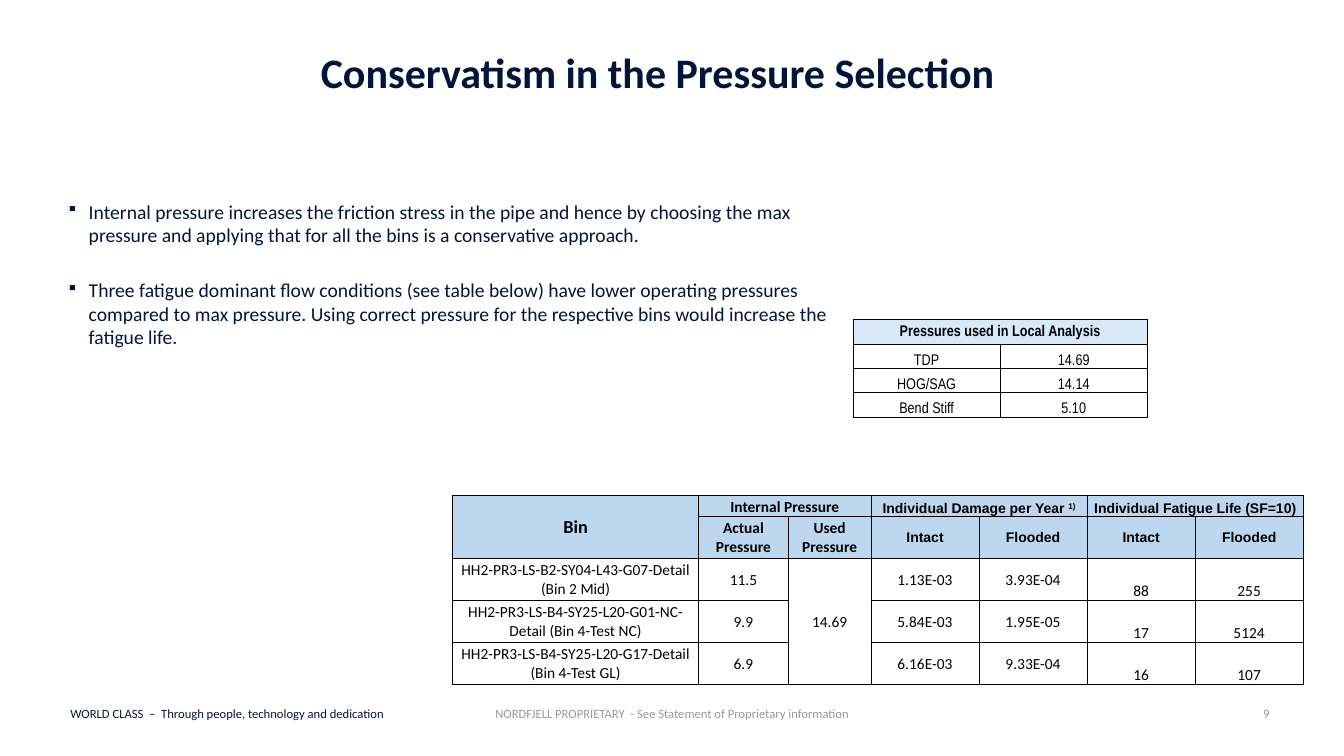
"""Build the slide on conservatism in the pressure selection."""
from lxml import etree
from pptx import Presentation
from pptx import util as u
from pptx.dml.color import RGBColor
from pptx.enum import text
from pptx.oxml.ns import qn

WIDTH, HEIGHT = 13.33, 7.5
NAVY, SLATE, GREY, BLACK = "001639", "081839", "999999", "000000"
LEFT, CENTER, RIGHT = text.PP_ALIGN.LEFT, text.PP_ALIGN.CENTER, text.PP_ALIGN.RIGHT
TOP, MIDDLE, BOTTOM = (text.MSO_ANCHOR.TOP, text.MSO_ANCHOR.MIDDLE,
                       text.MSO_ANCHOR.BOTTOM)

TITLE = [[("Conservatism in the Pressure Selection", NAVY)]]
BULLETS = [
    [("Internal pressure increases the friction stress in the pipe and hence by "
      "choosing the max pressure and applying that for all the bins is a "
      "conservative approach.", NAVY)],
    [("Three fatigue dominant flow conditions (see table below) have lower operating "
      "pressures compared to max pressure. Using correct pressure for the respective "
      "bins would increase the fatigue life.", NAVY)],
]
MOTTO = [[("WORLD CLASS  –  Through ", SLATE), ("people", NAVY),
          (", technology and dedication", SLATE)]]
NOTICE = [[("NORDFJELL PROPRIETARY  - See Statement of Proprietary information", GREY)]]
NUMBER = [[("9", GREY)]]

STYLES = {
    "caption": ("Arial Narrow", 11, True, MIDDLE, "DAE9F8"),
    "pressure": ("Arial Narrow", 11, False, BOTTOM, None),
    "bin": ("Calibri", 13, True, MIDDLE, "BDD7EE"),
    "group": ("Calibri", 11, True, BOTTOM, "BDD7EE"),
    "result": ("Arial", 10, True, BOTTOM, "BDD7EE"),
    "column": ("Calibri", 11, True, MIDDLE, "BDD7EE"),
    "state": ("Arial", 10, True, MIDDLE, "BDD7EE"),
    "value": ("Calibri", 11, False, MIDDLE, None),
    "life": ("Calibri", 11, False, BOTTOM, None),
}
PRESSURE_STYLES = [["caption"] * 2] + [["pressure"] * 2] * 3
PRESSURES = [
    ["Pressures used in Local Analysis", None],
    ["TDP", "14.69"],
    ["HOG/SAG", "14.14"],
    ["Bend Stiff", "5.10"],
]
FATIGUE_STYLES = [
    ["bin"] + ["group"] * 2 + ["result"] * 4,
    ["bin"] + ["column"] * 2 + ["state"] * 4,
] + [["value"] * 5 + ["life"] * 2] * 3
FATIGUE = [
    ["Bin", "Internal Pressure", None, "Individual Damage per Year ^1)", None,
     "Individual Fatigue Life (SF=10)", None],
    [None, "Actual Pressure", "Used Pressure", "Intact", "Flooded", "Intact", "Flooded"],
    ["HH2-PR3-LS-B2-SY04-L43-G07-Detail (Bin 2 Mid)", "11.5", "14.69",
     "1.13E-03", "3.93E-04", "88", "255"],
    ["HH2-PR3-LS-B4-SY25-L20-G01-NC-Detail (Bin 4-Test NC)", "9.9", None,
     "5.84E-03", "1.95E-05", "17", "5124"],
    ["HH2-PR3-LS-B4-SY25-L20-G17-Detail (Bin 4-Test GL)", "6.9", None,
     "6.16E-03", "9.33E-04", "16", "107"],
]
FATIGUE_MERGES = [((0, 0), (1, 0)), ((0, 1), (0, 2)), ((0, 3), (0, 4)),
                  ((0, 5), (0, 6)), ((2, 2), (4, 2))]


def color(value):
    return RGBColor.from_string(value)


def across(percent):
    return u.Inches(WIDTH * percent / 100)


def down(percent):
    return u.Inches(HEIGHT * percent / 100)


def set_margins(target, left, top, right, bottom):
    target.margin_left, target.margin_right = u.Inches(left), u.Inches(right)
    target.margin_top, target.margin_bottom = u.Inches(top), u.Inches(bottom)


def add_run(paragraph, words, face, size, bold, ink):
    run = paragraph.add_run()
    run.text = words
    run.font.name, run.font.size, run.font.bold = face, u.Pt(size), bold
    run.font.color.rgb = color(ink)
    return run


def add_text(slide, box, paragraphs, size, align=LEFT, anchor=TOP, bold=False,
             margins=(0.1, 0.05, 0.1, 0.05), spacing=None, bullet=None):
    left, top, width, height = box
    shape = slide.shapes.add_textbox(across(left), down(top), across(width), down(height))
    frame = shape.text_frame
    frame.word_wrap, frame.vertical_anchor = True, anchor
    set_margins(frame, *margins)
    for index, runs in enumerate(paragraphs):
        paragraph = frame.add_paragraph() if index else frame.paragraphs[0]
        paragraph.alignment = align
        if spacing:
            paragraph.line_spacing = spacing
        if index:
            paragraph.space_before = u.Pt(22.5)
        if bullet:
            properties = paragraph._p.get_or_add_pPr()
            indent = u.Inches(0.22)
            properties.set("marL", str(indent))
            properties.set("indent", str(-indent))
            etree.SubElement(properties, qn("a:buSzPct"), val="80000")
            etree.SubElement(properties, qn("a:buChar"), char=bullet)
        for words, ink in runs:
            add_run(paragraph, words, "Calibri", size, bold, ink)


def add_borders(cell):
    properties = cell._tc.get_or_add_tcPr()
    for side in ("a:lnL", "a:lnR", "a:lnT", "a:lnB"):
        line = etree.SubElement(properties, qn(side), w=str(u.Pt(0.5)))
        fill = etree.SubElement(line, qn("a:solidFill"))
        etree.SubElement(fill, qn("a:srgbClr"), val=BLACK)


def fill_cell(cell, words, style):
    face, size, bold, anchor, fill = STYLES[style]
    set_margins(cell, 0.01, 0.01, 0.01, 0)
    cell.vertical_anchor = anchor
    add_borders(cell)
    if fill:
        cell.fill.solid()
        cell.fill.fore_color.rgb = color(fill)
    else:
        cell.fill.background()
    paragraph = cell.text_frame.paragraphs[0]
    paragraph.alignment = CENTER
    if words is None:
        etree.SubElement(paragraph._p, qn("a:endParaRPr"), sz="800")
        return
    base, *raised = words.split("^")
    add_run(paragraph, base, face, size, bold, BLACK)
    for mark in raised:
        run = add_run(paragraph, mark, face, size, bold, BLACK)
        run._r.get_or_add_rPr().set("baseline", "30000")


def add_grid(slide, left, top, widths, heights, rows, styles, merges):
    frame = slide.shapes.add_table(len(heights), len(widths), across(left), down(top),
                                   across(sum(widths)), down(sum(heights)))
    table = frame.table
    table.first_row = table.horz_banding = False
    for column, width in zip(table.columns, widths):
        column.width = across(width)
    for row, height in zip(table.rows, heights):
        row.height = down(height)
    for row, (values, names) in enumerate(zip(rows, styles)):
        for column, (words, name) in enumerate(zip(values, names)):
            fill_cell(table.cell(row, column), words, name)
    for first, last in merges:
        table.cell(*first).merge(table.cell(*last))


def main():
    presentation = Presentation()
    presentation.slide_width, presentation.slide_height = across(100), down(100)
    slide = presentation.slides.add_slide(presentation.slide_layouts[6])
    add_text(slide, (31.88, 92.67, 36.23, 3.33), NOTICE, 9, CENTER)
    add_text(slide, (4.5, 92.67, 25.43, 3.33), MOTTO, 9)
    add_text(slide, (15.68, 6.27, 66.54, 7.47), TITLE, 30, CENTER, bold=True,
             margins=(0, 0.05, 0, 0.05), spacing=0.9)
    add_text(slide, (88.97, 91.73, 6.23, 5.33), NUMBER, 9, RIGHT, MIDDLE)
    add_text(slide, (4.95, 26.4, 57.69, 62), BULLETS, 14, margins=(0, 0, 0, 0), bullet="▪")
    add_grid(slide, 63.47, 42.27, [10.95] * 2, [3.23] * 4, PRESSURES, PRESSURE_STYLES,
             [((0, 0), (0, 1))])
    add_grid(slide, 33.68, 65.55, [18.3, 6.68, 6.15] + [8.04] * 4, [2.78] + [5.56] * 4,
             FATIGUE, FATIGUE_STYLES, FATIGUE_MERGES)
    presentation.save("out.pptx")


if __name__ == "__main__":
    main()
